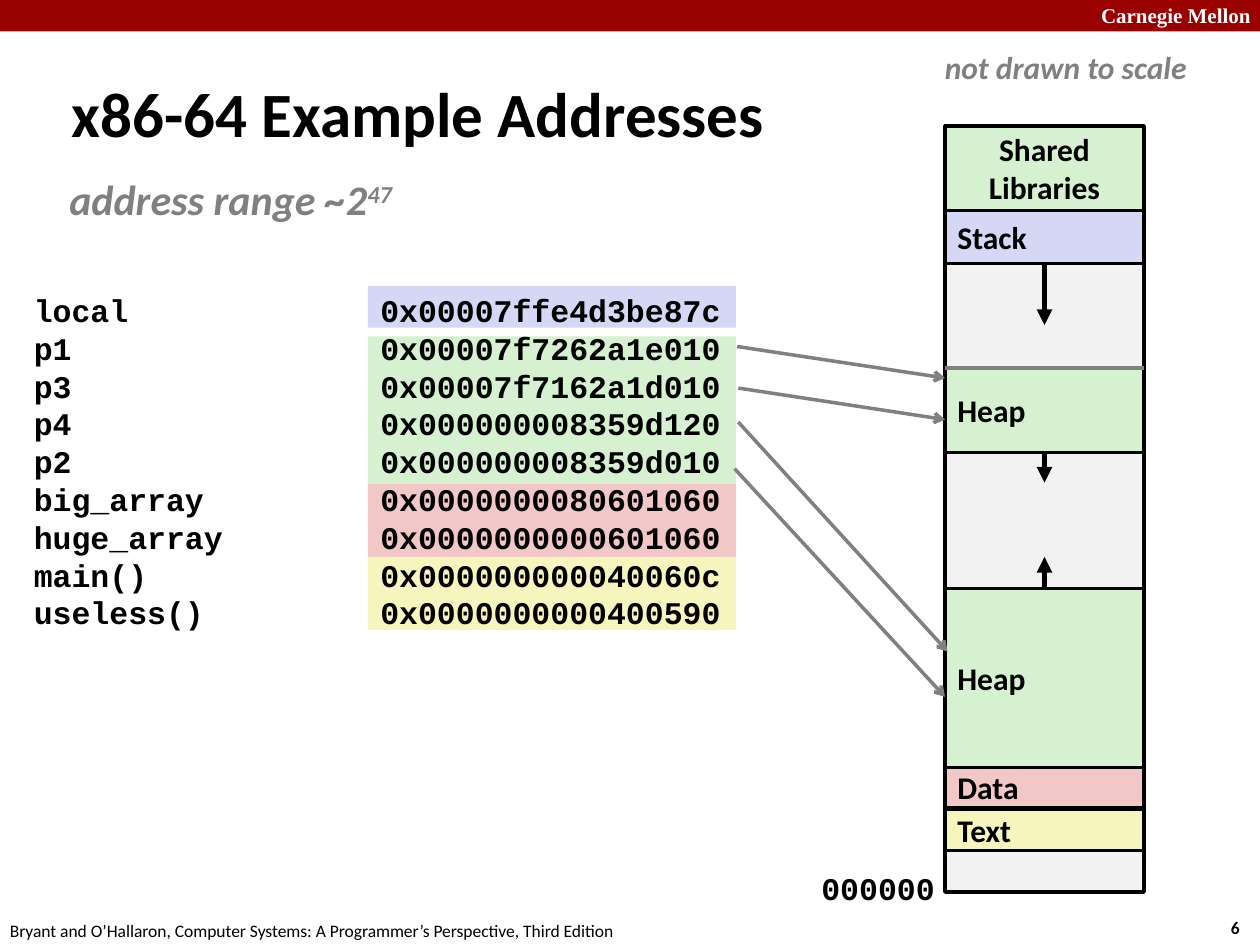
from lxml.etree import SubElement
from pptx import Presentation
from pptx.dml.color import RGBColor
from pptx.enum.shapes import MSO_CONNECTOR, MSO_SHAPE
from pptx.enum.text import MSO_ANCHOR, PP_ALIGN
from pptx.oxml.ns import qn
from pptx.util import Inches, Pt

GREEN, BLUE, RED, YELLOW = "D5F1CF", "D6D6F5", "F1C7C7", "F6F5BD"
LIGHT, GRAY, BLACK, WHITE = "F2F2F2", "808080", "000000", "FFFFFF"


def color(hex_string):
    return RGBColor.from_string(hex_string)


def write(frame, lines, size, font="Calibri", ink=BLACK, bold=True, italic=False,
          align=PP_ALIGN.LEFT, tab=None):
    frame.text = "\n".join(lines)
    for paragraph in frame.paragraphs:
        paragraph.alignment = align
        if tab:
            tab_list = SubElement(paragraph._p.get_or_add_pPr(), qn("a:tabLst"))
            SubElement(tab_list, qn("a:tab"), pos=str(Inches(tab)), algn="l")
        paragraph.font.name = font
        paragraph.font.size = Pt(size)
        paragraph.font.bold = bold
        paragraph.font.italic = italic
        paragraph.font.color.rgb = color(ink)


presentation = Presentation()
presentation.slide_width = Inches(10)
presentation.slide_height = Inches(7.5)
slide = presentation.slides.add_slide(presentation.slide_layouts[6])

# Rectangles: banner, address bands, then the memory column
MEMORY_LEFT, MEMORY_WIDTH = 7.5, 1.58
rectangles = [(0, 0, 10, 0.25, "990000", None, [])]
for top, height, fill in [(4.42, 0.58, YELLOW), (3.83, 0.59, RED),
                          (2.27, 0.33, BLUE), (2.67, 1.17, GREEN)]:
    rectangles.append((2.92, top, 2.92, height, fill, None, []))
for top, height, fill, label in [
    (1, 6.08, LIGHT, []),
    (6.42, 0.33, YELLOW, ["Text"]),
    (6.08, 0.33, RED, ["Data"]),
    (4.67, 1.42, GREEN, ["Heap"]),
    (2.92, 0.67, GREEN, ["Heap"]),
    (1.67, 0.42, BLUE, ["Stack"]),
    (1, 0.67, GREEN, ["Shared", "Libraries"]),
]:
    rectangles.append((MEMORY_LEFT, top, MEMORY_WIDTH, height, fill, BLACK, label))

for left, top, width, height, fill, outline, label in rectangles:
    shape = slide.shapes.add_shape(MSO_SHAPE.RECTANGLE, Inches(left), Inches(top),
                                   Inches(width), Inches(height))
    shape.shadow.inherit = False
    shape.fill.solid()
    shape.fill.fore_color.rgb = color(fill)
    if outline:
        shape.line.color.rgb = color(outline)
        shape.line.width = Pt(2)
    else:
        shape.line.fill.background()
    if label:
        shape.text_frame.vertical_anchor = MSO_ANCHOR.MIDDLE
        align = PP_ALIGN.CENTER if len(label) > 1 else PP_ALIGN.LEFT
        write(shape.text_frame, label, 18, align=align)

# Title, captions and footer
note = {"ink": GRAY, "italic": True}
captions = {}
for left, top, width, height, text, size, style in [
    (0.47, 0.58, 7.19, 0.63, "x86-64 Example Addresses", 36, {}),
    (0.5, 1.33, 2.71, 0.51, "address range ~2", 24, note),
    (7.4, 0.33, 2.13, 0.4, "not drawn to scale", 18, note),
    (6.42, 6.85, 1.11, 0.4, "000000", 18, {"font": "Courier New"}),
    (8.64, -0.03, 1.43, 0.3, "Carnegie Mellon", 12,
     {"font": "Times New Roman", "ink": WHITE}),
    (9.67, 7.23, 0.37, 0.27, "6", 10, {}),
    (-0.02, 7.25, 5.08, 0.27, "Bryant and O’Hallaron, Computer Systems: "
     "A Programmer’s Perspective, Third Edition", 10, {"bold": False}),
]:
    box = slide.shapes.add_textbox(Inches(left), Inches(top), Inches(width), Inches(height))
    box.text_frame.word_wrap = width > 7
    write(box.text_frame, [text], size, **style)
    captions[text] = box.text_frame

captions["x86-64 Example Addresses"].vertical_anchor = MSO_ANCHOR.MIDDLE
address_range = captions["address range ~2"]
address_range.margin_left = address_range.margin_right = Inches(0.05)
exponent = address_range.paragraphs[0].add_run()
exponent.text = "47"
exponent.font._element.set("baseline", "30000")

# Address list, aligned by a tab stop
addresses = [
    ("local", "0x00007ffe4d3be87c"),
    ("p1", "0x00007f7262a1e010"),
    ("p3", "0x00007f7162a1d010"),
    ("p4", "0x000000008359d120"),
    ("p2", "0x000000008359d010"),
    ("big_array", "0x0000000080601060"),
    ("huge_array", "0x0000000000601060"),
    ("main()", "0x000000000040060c"),
    ("useless()", "0x0000000000400590"),
]
box = slide.shapes.add_textbox(Inches(0.17), Inches(2.26), Inches(6.17), Inches(2.82))
box.text_frame.word_wrap = True
write(box.text_frame, [f"{name}\t{address}" for name, address in addresses], 18,
      font="Courier New", tab=2.75)

# Growth arrows, heap boundary and pointer arrows
MIDDLE = MEMORY_LEFT + MEMORY_WIDTH / 2
for x1, y1, x2, y2, ink, width, head in [
    (MIDDLE, 4.67, MIDDLE, 4.42, BLACK, 3, "triangle"),
    (MIDDLE, 3.58, MIDDLE, 3.83, BLACK, 3, "triangle"),
    (MIDDLE, 2.08, MIDDLE, 2.58, BLACK, 3, "triangle"),
    (MEMORY_LEFT, 2.92, MEMORY_LEFT + MEMORY_WIDTH, 2.92, GRAY, 2, None),
    (5.85, 2.75, 7.5, 3, GRAY, 2, "arrow"),
    (5.86, 3.08, 7.5, 3.33, GRAY, 2, "arrow"),
    (5.86, 3.35, 7.52, 5.17, GRAY, 2, "arrow"),
    (5.83, 3.72, 7.5, 5.53, GRAY, 2, "arrow"),
]:
    connector = slide.shapes.add_connector(MSO_CONNECTOR.STRAIGHT, Inches(x1), Inches(y1),
                                           Inches(x2), Inches(y2))
    connector.line.color.rgb = color(ink)
    connector.line.width = Pt(width)
    if head:
        SubElement(connector.line._get_or_add_ln(), qn("a:tailEnd"), type=head)
    SubElement(connector._element.spPr, qn("a:effectLst"))

presentation.save("out.pptx")
